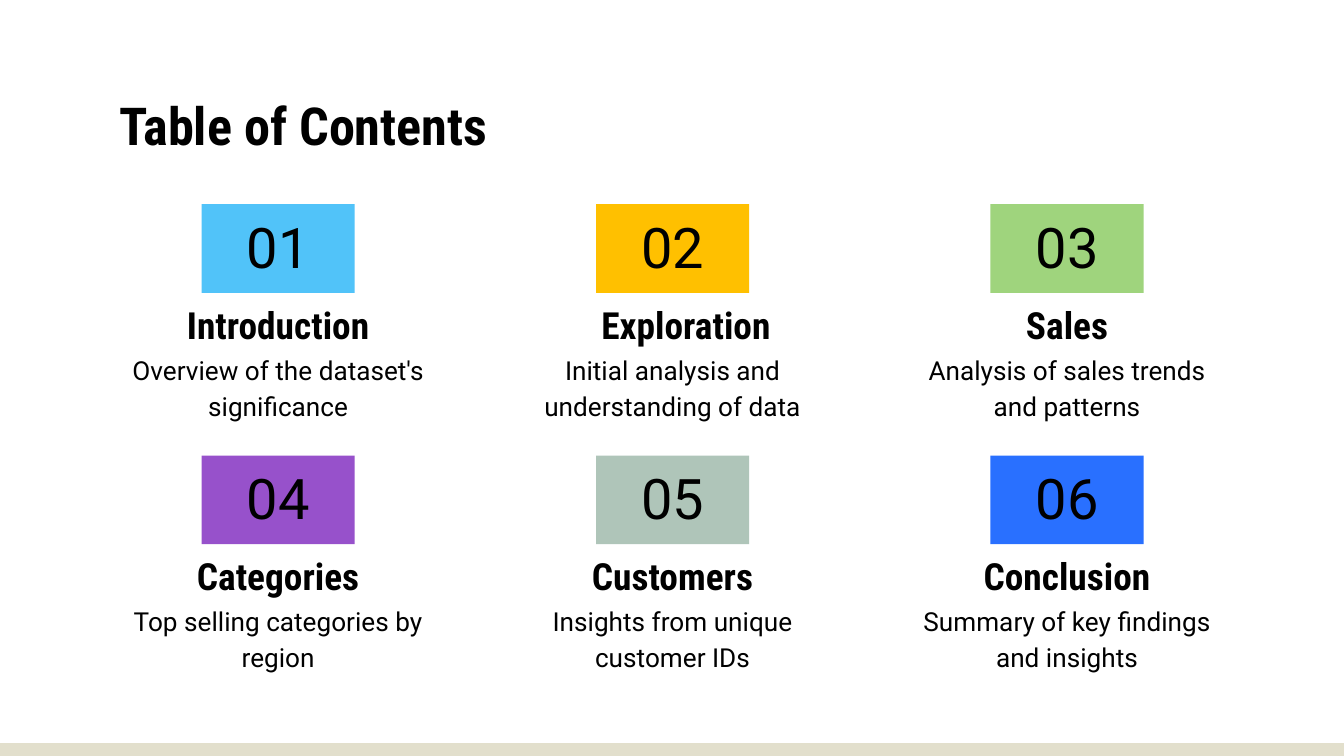
from pptx import Presentation
from pptx.dml.color import RGBColor
from pptx.enum import shapes, text
from pptx.util import Inches, Pt

BLACK = RGBColor(0x00, 0x00, 0x00)
WHITE = RGBColor(0xFF, 0xFF, 0xFF)
SAND = RGBColor(0xE2, 0xDF, 0xCC)
SKY = RGBColor(0x51, 0xC3, 0xF9)
AMBER = RGBColor(0xFF, 0xC0, 0x00)
GREEN = RGBColor(0x9F, 0xD4, 0x7D)
PURPLE = RGBColor(0x97, 0x51, 0xCB)
SAGE = RGBColor(0xAF, 0xC5, 0xB9)
BLUE = RGBColor(0x29, 0x70, 0xFF)

BODY, HEAD = "Roboto", "Roboto Condensed"
TOP, BOTTOM = text.MSO_ANCHOR.TOP, text.MSO_ANCHOR.BOTTOM
LEFT, CENTER = text.PP_ALIGN.LEFT, text.PP_ALIGN.CENTER

SLIDE_W = 10
SLIDE_H = SLIDE_W * 9 / 16
BAND_Y = 5.53
COLS, CARD_W, NUMBER_W, NUMBER_H = 3, 2.56, 1.14, 0.66
GRID_X, GRID_Y, GRID_W, ROW_STEP = 0.79, 1.52, 8.43, 1.87

# Fill, heading, description, rightward shift of the heading
SECTIONS = [
    (SKY, "Introduction", "Overview of the dataset's significance", 0),
    (AMBER, "Exploration", "Initial analysis and understanding of data", 0.1),
    (GREEN, "Sales", "Analysis of sales trends and patterns", 0),
    (PURPLE, "Categories", "Top selling categories by region", 0),
    (SAGE, "Customers", "Insights from unique customer IDs", 0),
    (BLUE, "Conclusion", "Summary of key findings and insights", 0),
]


def write(sp, content, *, font=BODY, size=14, bold=False, align=CENTER,
          anchor=TOP, spacing=1.0):
    tf = sp.text_frame
    tf.word_wrap = True
    tf.vertical_anchor = anchor
    tf.margin_left = tf.margin_right = Inches(0.1)
    tf.margin_top = tf.margin_bottom = Inches(0.1)
    p = tf.paragraphs[0]
    p.alignment = align
    p.line_spacing = spacing
    r = p.add_run()
    r.text = content
    r.font.name = font
    r.font.size = Pt(size)
    r.font.bold = bold
    r.font.color.rgb = BLACK


def add_text(s, x, y, w, h, content, **fmt):
    sp = s.shapes.add_textbox(Inches(x), Inches(y), Inches(w), Inches(h))
    write(sp, content, **fmt)


def add_block(s, x, y, w, h, fill):
    sp = s.shapes.add_shape(shapes.MSO_SHAPE.RECTANGLE,
                            Inches(x), Inches(y), Inches(w), Inches(h))
    sp.shadow.inherit = False
    sp.fill.solid()
    sp.fill.fore_color.rgb = fill
    sp.line.fill.background()
    return sp


def add_section(s, x, y, w, number, fill, heading, description, shift):
    """Stack a number block, a heading and a description, centred in width w."""
    block = add_block(s, x + (w - NUMBER_W) / 2, y, NUMBER_W, NUMBER_H, fill)
    write(block, f"{number:02}", size=30, anchor=BOTTOM)
    add_text(s, x, y + 0.98, w, 0.66, description, spacing=1.15)
    add_text(s, x + shift, y + 0.65, w, 0.51, heading, font=HEAD, size=20,
             bold=True, anchor=BOTTOM, spacing=1.15)


def add_contents(s, x, y, w):
    col_step = (w - CARD_W) / (COLS - 1)
    for i, section in enumerate(SECTIONS):
        row, col = divmod(i, COLS)
        add_section(s, x + col * col_step, y + row * ROW_STEP, CARD_W,
                    i + 1, *section)


def main():
    prs = Presentation()
    prs.slide_width, prs.slide_height = Inches(SLIDE_W), Inches(SLIDE_H)
    s = prs.slides.add_slide(prs.slide_layouts[6])
    s.background.fill.solid()
    s.background.fill.fore_color.rgb = WHITE
    add_block(s, 0, BAND_Y, SLIDE_W, SLIDE_H - BAND_Y, SAND)
    add_text(s, GRID_X, 0.59, GRID_W, 0.69, "Table of Contents",
             font=HEAD, size=28, bold=True, align=LEFT)
    add_contents(s, GRID_X, GRID_Y, GRID_W)
    prs.save("out.pptx")


if __name__ == "__main__":
    main()
